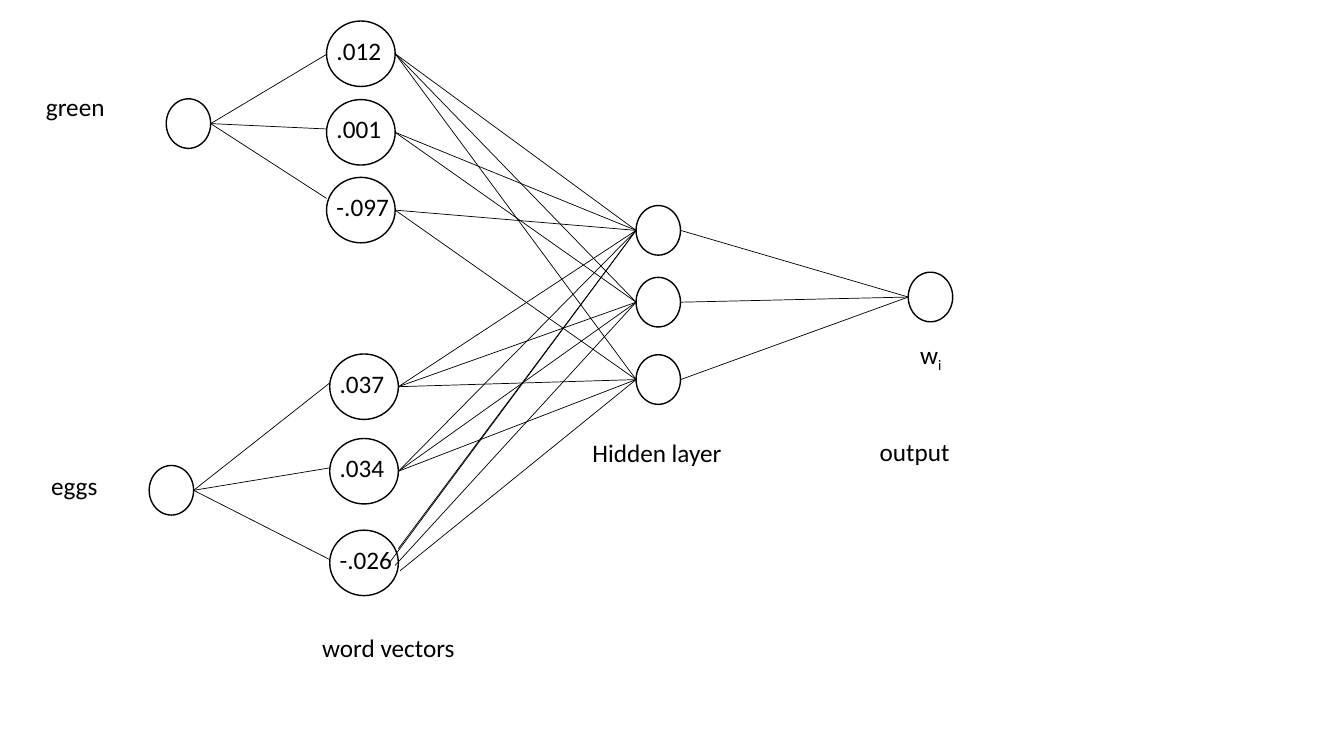
"""Builds a slide of a small neural language model: words, vectors, hidden layer, output."""
from lxml import etree
from pptx import Presentation
from pptx.dml.color import RGBColor
from pptx.enum.shapes import MSO_CONNECTOR, MSO_SHAPE
from pptx.oxml.ns import qn
from pptx.util import Cm, Pt

OVAL = MSO_SHAPE.OVAL
STRAIGHT = MSO_CONNECTOR.STRAIGHT
COLORS = {"ink": "000000"}
INK = RGBColor.from_string(COLORS["ink"])
FONT = "Calibri"
NODE = (1.12, 1.25)
VECTOR = (1.73, 1.65)
LABEL_HEIGHT = 1.02

GREEN = {
    "word": "green", "label": (0.91, 2.18, 2.01), "node": (4.19, 2.49),
    "values": [".012", ".001", "-.097"], "left": 8.23,
    "tops": [0.53, 2.51, 4.47], "entries": [1.37, 3.25, 5.0],
    "links": [(0, 0), (0, 1), (0, 2), (1, 0), (1, 1), (2, 0), (2, 2)],
    "shifted_links": [],
}
EGGS = {
    "word": "eggs", "label": (1.04, 11.73, 1.7), "node": (3.76, 11.73),
    "values": [".037", ".034", "-.026"], "left": 8.31,
    "tops": [8.92, 11.05, 13.36], "entries": [9.65, 11.79, 14.1],
    "links": [(vector, hidden) for vector in range(2) for hidden in range(3)],
    "shifted_links": [(2, 0, -0.23, 0), (2, 0, 0, -0.36),
                      (2, 1, -0.08, 0.06), (2, 2, 0.04, 0.2)],
}


def add_circle(slide, left, top, size):
    """Draw an outlined circle and return its left and right middle points."""
    width, height = size
    circle = slide.shapes.add_shape(OVAL, Cm(left), Cm(top), Cm(width), Cm(height))
    circle.shadow.inherit = False
    circle.fill.background()
    circle.line.color.rgb = INK
    circle.line.width = Pt(1)
    middle = top + height / 2
    return (left, middle), (left + width, middle)


def add_label(slide, left, top, width, text, wrap=False):
    """Write a one-line label and return its paragraph."""
    box = slide.shapes.add_textbox(Cm(left), Cm(top), Cm(width), Cm(LABEL_HEIGHT))
    box.text_frame.word_wrap = wrap
    paragraph = box.text_frame.paragraphs[0]
    paragraph.text = text
    paragraph.font.name = FONT
    paragraph.font.size = Pt(18)
    paragraph.font.color.rgb = INK
    return paragraph


def add_link(slide, start, end):
    """Draw a thin line between two points."""
    points = [Cm(length) for length in (*start, *end)]
    line = slide.shapes.add_connector(STRAIGHT, *points)
    line.line.color.rgb = INK
    line.line.width = Pt(0.5)
    etree.SubElement(line._element.spPr, qn("a:effectLst"))


def add_word(slide, word):
    """Draw a word, its input node and its vector; return the exit points."""
    add_label(slide, *word["label"], word["word"])
    _, start = add_circle(slide, *word["node"], NODE)
    exits = []
    for value, top, entry in zip(word["values"], word["tops"], word["entries"]):
        _, exit_point = add_circle(slide, word["left"], top, VECTOR)
        width = 2.08 if value.startswith("-") else 1.65
        add_label(slide, word["left"], top + 0.23, width, value, wrap=True)
        add_link(slide, start, (word["left"], entry))
        exits.append(exit_point)
    return exits


def add_hidden_layer(slide, left, tops):
    """Draw the hidden nodes with their caption and return their side points."""
    add_label(slide, left - 1.35, tops[-1] + 1.96, 3.81, "Hidden layer")
    return [add_circle(slide, left, top, NODE) for top in tops]


def add_output(slide, left, top):
    """Draw the output node with its labels and return its entry point."""
    entry, _ = add_circle(slide, left, top, NODE)
    paragraph = add_label(slide, left + 0.05, top + 1.57, 1.07, "w")
    subscript = paragraph.add_run()
    subscript.text = "i"
    subscript._r.get_or_add_rPr().set("baseline", "-25000")
    add_label(slide, left - 0.97, top + 4.01, 2.29, "output")
    return entry


def connect_word(slide, word, exits, hidden):
    """Link the vector of a word to the hidden nodes."""
    links = [(*link, 0, 0) for link in word["links"]] + word["shifted_links"]
    for vector, target, shift_x, shift_y in links:
        x, y = exits[vector]
        add_link(slide, (x + shift_x, y + shift_y), hidden[target][0])


def build_network(slide):
    """Place all layers of the network and connect them."""
    hidden = add_hidden_layer(slide, 16.03, [5.18, 6.99, 8.94])
    output = add_output(slide, 22.89, 6.86)
    for word in (GREEN, EGGS):
        connect_word(slide, word, add_word(slide, word), hidden)
    for _, exit_point in hidden:
        add_link(slide, exit_point, output)
    add_label(slide, 7.87, 15.82, 3.89, "word vectors")


presentation = Presentation()
presentation.slide_width, presentation.slide_height = Cm(33.87), Cm(19.05)
build_network(presentation.slides.add_slide(presentation.slide_layouts[6]))
presentation.save("out.pptx")
